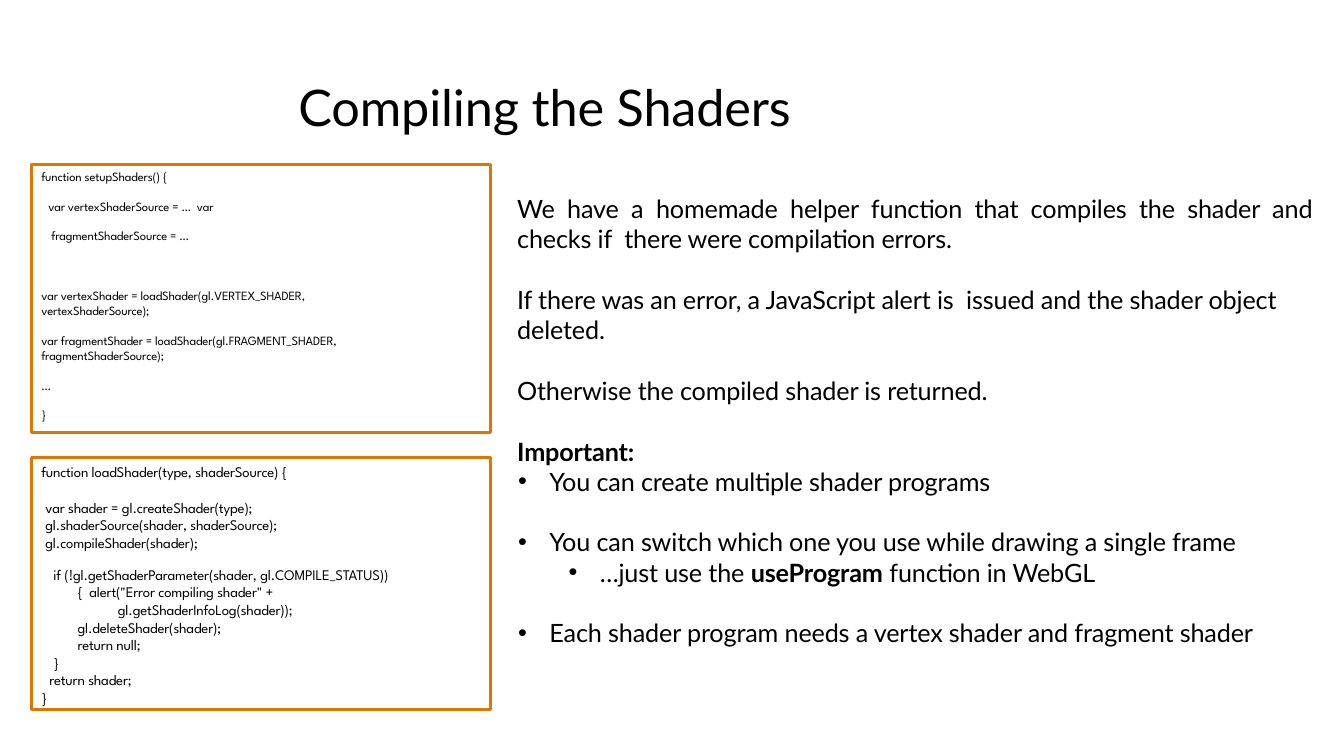
"""Builds the slide about compiling shaders."""
from dataclasses import dataclass

from lxml import etree
from pptx import Presentation
from pptx.dml.color import RGBColor
from pptx.enum.shapes import MSO_SHAPE
from pptx.enum.text import MSO_ANCHOR, MSO_AUTO_SIZE, PP_ALIGN
from pptx.oxml.ns import qn
from pptx.util import Inches, Pt

RECT = MSO_SHAPE.RECTANGLE
TOP, MIDDLE = MSO_ANCHOR.TOP, MSO_ANCHOR.MIDDLE
NO_FIT = MSO_AUTO_SIZE.NONE
LEFT, JUSTIFY = PP_ALIGN.LEFT, PP_ALIGN.JUSTIFY
BLACK, ORANGE = "000000", "DF7601"
BODY_FONT, CODE_FONT = "Lato", "League Spartan"
BODY_GAP = 21.7


@dataclass
class Para:
    """A paragraph: newlines break lines, and asterisks enclose bold text."""
    text: str
    margin: float = 0.01
    indent: float = 0
    before: float = 0
    spacing: float = 1
    align: PP_ALIGN = LEFT
    bullet: bool = False
    level: int = 0


@dataclass
class CodeBox:
    """A framed code listing."""
    top: float
    height: float
    size: float
    paras: list[Para]


SETUP = CodeBox(1.63, 2.66, 9, [
    Para("function setupShaders() {", 0.1),
    Para("var vertexShaderSource = …  var\nfragmentShaderSource = …", 0.2, -0.03, 0.1, 1.92),
    Para("var vertexShader = loadShader(gl.VERTEX_SHADER,\nvertexShaderSource);", 0.1, before=32),
    Para("var fragmentShader = loadShader(gl.FRAGMENT_SHADER,\nfragmentShaderSource);", 0.1, before=10.5),
    Para("…", 0.1, before=10.5),
    Para("}", 0.1, before=10.5),
])
LOAD = CodeBox(4.54, 2.5, 10.5, [
    Para("function loadShader(type, shaderSource) {", 0.1),
    Para("var shader = gl.createShader(type);\ngl.shaderSource(shader, shaderSource);\n"
         "gl.compileShader(shader);", 0.14, before=13.2),
    Para("if (!gl.getShaderParameter(shader, gl.COMPILE_STATUS))\n"
         "{  alert(\"Error compiling shader\" +", 0.46, -0.24, 10),
    Para("gl.getShaderInfoLog(shader));\ngl.deleteShader(shader);", 0.46, 0.4),
    Para("return null;", 0.46),
    Para("}", 0.22),
    Para("return shader;", 0.18),
    Para("}", 0.1),
])
NOTES = [
    Para("We have a homemade helper function that compiles the shader and checks if  there were "
         "compilation errors.", align=JUSTIFY),
    Para("If there was an error, a JavaScript alert is  issued and the shader object deleted.",
         before=BODY_GAP),
    Para("Otherwise the compiled shader is returned.", before=BODY_GAP, align=JUSTIFY),
    Para("*Important:*", before=BODY_GAP),
    Para("You can create multiple shader programs", 0.33, -0.31, bullet=True),
    Para("You can switch which one you use while drawing a single frame", 0.33, -0.31, BODY_GAP,
         bullet=True),
    Para("…just use the *useProgram* function in WebGL", 0.83, -0.31, bullet=True, level=1),
    Para("Each shader program needs a vertex shader and fragment shader", 0.33, -0.31, BODY_GAP,
         bullet=True),
]


def rgb(color: str) -> RGBColor:
    """Turn a hex string into a colour."""
    return RGBColor.from_string(color)


def add_runs(p, text: str, font: str, size: float) -> None:
    """Add text run by run, with its line breaks and bold parts."""
    for row, line in enumerate(text.split("\n")):
        if row:
            p.add_line_break()
        for part, words in enumerate(line.split("*")):
            if words:
                r = p.add_run()
                r.text = words
                r.font.name, r.font.size = font, Pt(size)
                r.font.bold = part % 2 == 1
                r.font.color.rgb = rgb(BLACK)
                r.font._element.set("spc", "-10")


def fill_text(tf, paras: list[Para], font: str, size: float, inset: float, anchor=TOP) -> None:
    """Lay out paragraphs in a text frame."""
    tf.word_wrap, tf.auto_size, tf.vertical_anchor = True, NO_FIT, anchor
    tf.margin_left = tf.margin_right = tf.margin_bottom = 0
    tf.margin_top = Inches(inset)
    for i, para in enumerate(paras):
        p = tf.add_paragraph() if i else tf.paragraphs[0]
        p.alignment, p.level = para.align, para.level
        p.line_spacing, p.space_before = para.spacing, Pt(para.before)
        pPr = p._p.get_or_add_pPr()
        pPr.set("marL", str(Inches(para.margin)))
        pPr.set("indent", str(Inches(para.indent)))
        if para.bullet:
            etree.SubElement(pPr, qn("a:buFont"), typeface="Arial")
            etree.SubElement(pPr, qn("a:buChar"), char="•")
        add_runs(p, para.text, font, size)


def add_code_box(s, box: CodeBox) -> None:
    """Draw a framed code listing in the left column."""
    sp = s.shapes.add_shape(RECT, Inches(0.31), Inches(box.top), Inches(4.56), Inches(box.height))
    sp.shadow.inherit = False
    sp.fill.background()
    sp.line.color.rgb, sp.line.width = rgb(ORANGE), Pt(2.04)
    fill_text(sp.text_frame, box.paras, CODE_FONT, box.size, 0.05)


def build() -> None:
    """Build and save the slide."""
    prs = Presentation()
    prs.slide_width, prs.slide_height = Inches(13.33), Inches(7.5)
    s = prs.slides.add_slide(prs.slide_layouts[5])
    title = s.shapes.title
    title.left, title.top = Inches(2.95), Inches(0.74)
    title.width, title.height = Inches(5.5), Inches(0.63)
    fill_text(title.text_frame, [Para("Compiling the Shaders")], BODY_FONT, 36, 0.01, MIDDLE)
    for box in (SETUP, LOAD):
        add_code_box(s, box)
    notes = s.shapes.add_textbox(Inches(5.12), Inches(1.91), Inches(7.9), Inches(4.86))
    fill_text(notes.text_frame, NOTES, BODY_FONT, 18, 0.01)
    prs.save("out.pptx")


build()
